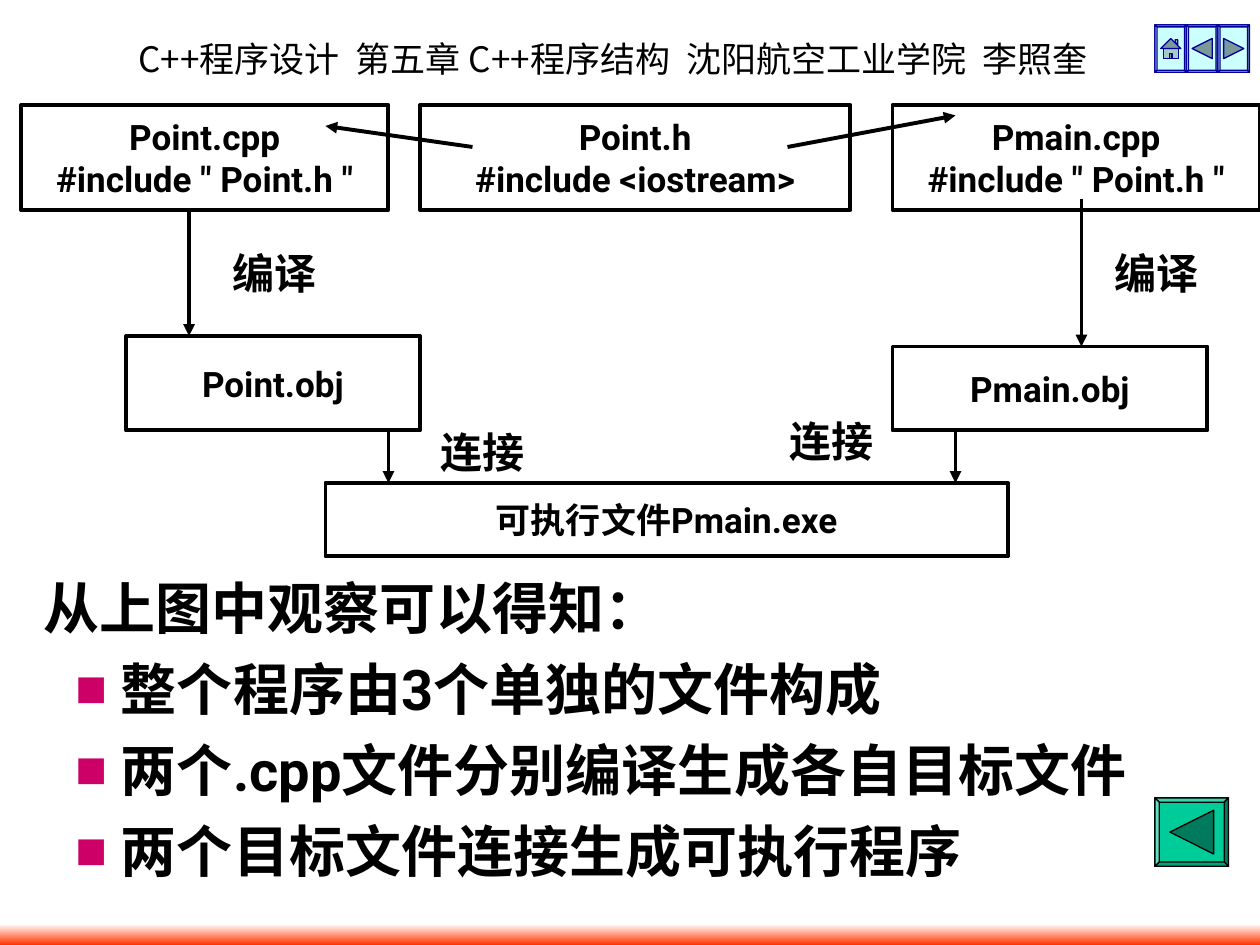
from dataclasses import dataclass

from lxml import etree
from pptx import Presentation
from pptx import util as u
from pptx.dml.color import RGBColor
from pptx.enum import shapes, text
from pptx.oxml.ns import qn

PX = 9525  # 96 px to the inch
HUES = {
    "ink": "000000", "mark": "CC0066", "white": "FFFFFF", "glow": "FF3300",
    "ice": "CCFFFF", "navy": "000099", "jade": "00CC99",
}
FONT, JP, SC = "Roboto", "Noto Sans CJK JP", "Noto Sans CJK SC"
MID = text.PP_ALIGN.CENTER


@dataclass
class Box:
    x: int
    y: int
    w: int
    h: int
    lines: list[str]


@dataclass
class Arrow:
    x1: int
    y1: int
    x2: int
    y2: int


@dataclass
class Button:
    x: int
    y: int
    w: int
    h: int
    hue: str
    edge: str
    icon: str


def rgb(name: str, tint: float = 0) -> RGBColor:
    """Colour by name, mixed with white (tint > 0) or black (tint < 0)."""
    goal = 255 if tint > 0 else 0
    parts = bytes.fromhex(HUES[name])
    return RGBColor(*(round(c + (goal - c) * abs(tint)) for c in parts))


def add_run(para, words: str, size: int, font: str = FONT, bold: bool = True) -> None:
    run = para.add_run()
    run.text = words
    face = run.font
    face.size, face.bold, face.name = u.Pt(size), bold, font
    face.color.rgb = rgb("ink")
    east = etree.Element(qn("a:ea"), typeface=font)
    run._r.rPr.find(qn("a:latin")).addnext(east)


def add_text(slide, x: int, y: int, w: int, h: int, wrap: bool = True):
    frame = slide.shapes.add_textbox(x * PX, y * PX, w * PX, h * PX).text_frame
    frame.word_wrap = wrap
    return frame


def add_box(slide, box: Box) -> None:
    rect = slide.shapes.add_shape(
        shapes.MSO_SHAPE.RECTANGLE, box.x * PX, box.y * PX, box.w * PX, box.h * PX)
    rect.shadow.inherit = False
    rect.fill.background()
    rect.line.color.rgb = rgb("ink")
    rect.line.width = u.Pt(2.25)
    frame = rect.text_frame
    frame.word_wrap = False
    frame.vertical_anchor = text.MSO_ANCHOR.MIDDLE
    for i, line in enumerate(box.lines):
        para = frame.add_paragraph() if i else frame.paragraphs[0]
        para.alignment = MID
        add_run(para, line, 20)


def add_arrow(slide, arrow: Arrow) -> None:
    line = slide.shapes.add_connector(
        shapes.MSO_CONNECTOR.STRAIGHT,
        arrow.x1 * PX, arrow.y1 * PX, arrow.x2 * PX, arrow.y2 * PX)
    line.line.color.rgb = rgb("ink")
    line.line.width = u.Pt(2.25)
    etree.SubElement(line.line._get_or_add_ln(), qn("a:tailEnd"), type="triangle")
    etree.SubElement(line._element.spPr, qn("a:effectLst"))


def add_facet(group, pts: list, btn: Button, tint: float) -> None:
    spots = [(round(x * PX), round(y * PX)) for x, y in pts]
    pen = group.shapes.build_freeform(*spots[0], scale=1.0)
    pen.add_line_segments(spots[1:], close=True)
    facet = pen.convert_to_shape()
    facet.shadow.inherit = False
    facet.fill.solid()
    facet.fill.fore_color.rgb = rgb(btn.hue, tint)
    facet.line.color.rgb = rgb(btn.edge)
    facet.line.width = u.Pt(0.75)


# Icon outlines in units of the short side, from the button's centre, with tints
ICONS = {
    "back": [([(-.32, 0), (.32, -.32), (.32, .32)], -.4)],
    "next": [([(-.32, -.32), (.32, 0), (-.32, .32)], -.4)],
    "home": [
        ([(-.24, 0), (.24, 0), (.24, .32), (-.24, .32)], -.2),
        ([(.14, -.2), (.14, -.28), (.22, -.28), (.22, -.12)], -.2),
        ([(0, -.32), (.32, 0), (-.32, 0)], -.4),
        ([(-.04, .16), (.04, .16), (.04, .32), (-.04, .32)], -.4),
    ],
}


def add_button(slide, btn: Button) -> None:
    group = slide.shapes.add_group_shape()
    side = min(btn.w, btn.h)
    rim = side / 16

    def ring(gap: float) -> list:
        left, top = btn.x + gap, btn.y + gap
        right, low = btn.x + btn.w - gap, btn.y + btn.h - gap
        return [(left, top), (right, top), (right, low), (left, low)]

    outer, inner = ring(0), ring(rim)
    add_facet(group, outer, btn, 0)
    for i, tint in enumerate((.2, -.4, -.2, .4)):  # top, right, bottom, left
        j = (i + 1) % 4
        add_facet(group, [outer[i], outer[j], inner[j], inner[i]], btn, tint)
    cx, cy = btn.x + btn.w / 2, btn.y + btn.h / 2
    for pts, tint in ICONS[btn.icon]:
        add_facet(group, [(cx + a * side, cy + b * side) for a, b in pts], btn, tint)


def add_bullet(para) -> None:
    props = para._p.get_or_add_pPr()
    props.set("marL", str(48 * PX))
    props.set("indent", str(-24 * PX))
    hue = etree.SubElement(props, qn("a:buClr"))
    etree.SubElement(hue, qn("a:srgbClr"), val=HUES["mark"])
    etree.SubElement(props, qn("a:buSzPct"), val="60000")
    etree.SubElement(props, qn("a:buFont"), typeface=FONT)
    etree.SubElement(props, qn("a:buChar"), char="■")


def main() -> None:
    deck = Presentation()
    deck.slide_width, deck.slide_height = 960 * PX, 720 * PX
    slide = deck.slides.add_slide(deck.slide_layouts[6])

    # Header
    head = add_text(slide, 96, 24, 792, 42).paragraphs[0]
    for words, font in (("C++程序设计 ", JP), (" 第五章 C++程序结构  ", SC),
                        ("沈阳航空工业学院  ", JP), ("李照奎", SC)):
        add_run(head, words, 20, font, False)

    # Footer glow
    bar = slide.shapes.add_shape(shapes.MSO_SHAPE.RECTANGLE, 0, 704 * PX, 960 * PX, 16 * PX)
    bar.shadow.inherit = False
    bar.line.fill.background()
    bar.fill.gradient()
    bar.fill.gradient_angle = 270
    for stop, name, pos in zip(bar.fill.gradient_stops, ("white", "glow"), (0, 1)):
        stop.color.rgb, stop.position = rgb(name), pos

    # Navigation buttons
    for i, icon in enumerate(("home", "back", "next")):
        add_button(slide, Button(880 + 24 * i, 19, 24, 36, "ice", "navy", icon))

    # Findings
    body = add_text(slide, 24, 432, 896, 248)
    add_run(body.paragraphs[0], "从上图中观察可以得知：", 32)
    for words in (" 整个程序由3个单独的文件构成", " 两个.cpp文件分别编译生成各自目标文件",
                  " 两个目标文件连接生成可执行程序"):
        para = body.add_paragraph()
        para.level, para.space_before = 1, u.Pt(8)
        add_bullet(para)
        add_run(para, words, 32)

    # Files
    for box in (
        Box(16, 80, 280, 80, ["Point.cpp", '#include " Point.h "']),
        Box(320, 80, 328, 80, ["Point.h", "#include <iostream>"]),
        Box(680, 80, 280, 80, ["Pmain.cpp", '#include " Point.h "']),
        Box(96, 256, 224, 72, ["Point.obj"]),
        Box(680, 264, 240, 64, ["Pmain.obj"]),
        Box(248, 368, 520, 56, ["可执行文件Pmain.exe"]),
    ):
        add_box(slide, box)

    # Flow
    for arrow in (
        Arrow(144, 160, 144, 256), Arrow(360, 112, 248, 96), Arrow(600, 112, 728, 88),
        Arrow(824, 152, 824, 264), Arrow(296, 328, 296, 368), Arrow(728, 328, 728, 368),
    ):
        add_arrow(slide, arrow)

    # Step labels
    for x, y, words in ((168, 184, "编译"), (840, 184, "编译"),
                        (326, 320, "连接"), (592, 312, "连接")):
        add_run(add_text(slide, x, y, 83, 48, False).paragraphs[0], words, 24)

    add_button(slide, Button(880, 608, 56, 52, "jade", "ink", "back"))
    deck.save("out.pptx")


if __name__ == "__main__":
    main()
